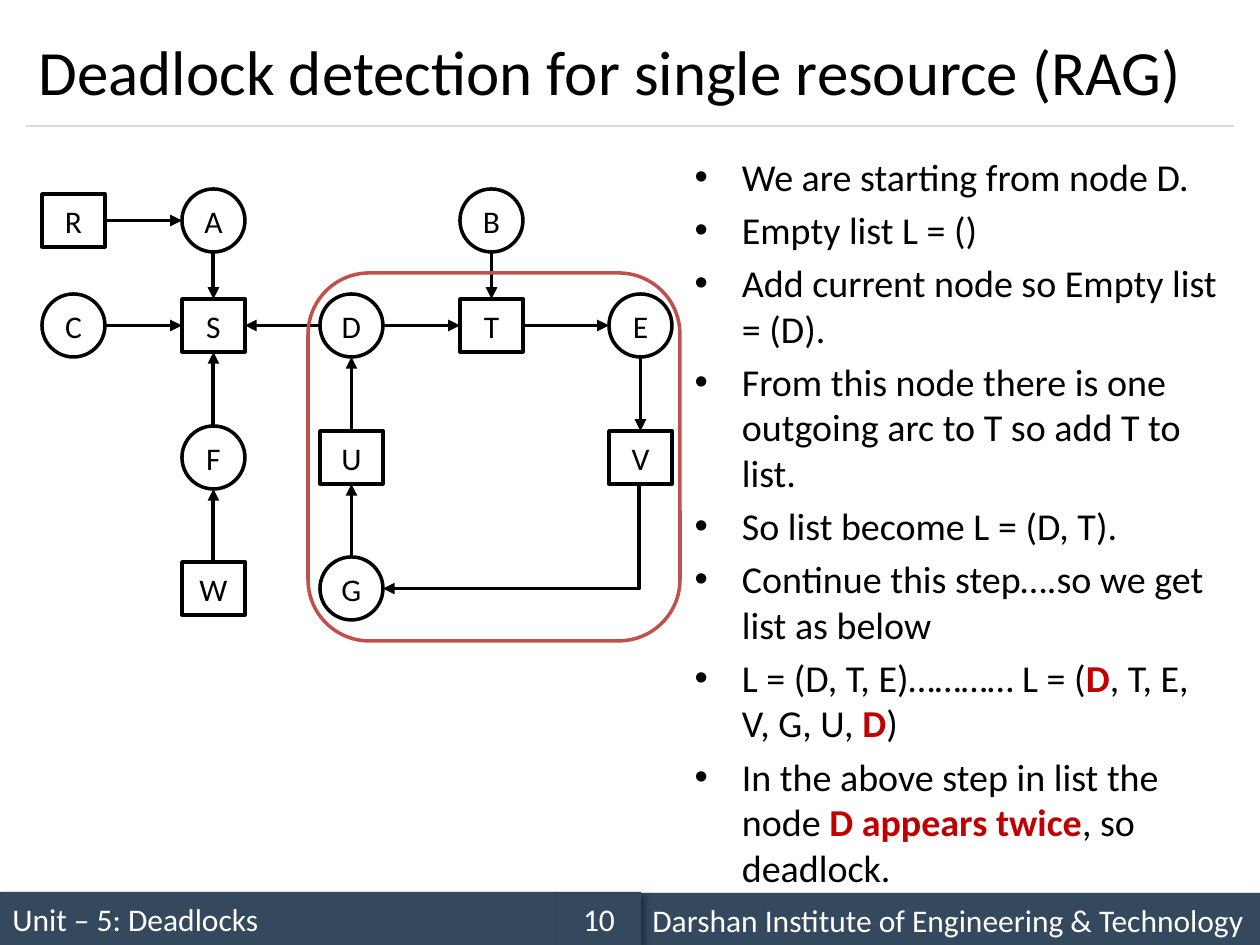
from lxml import etree
from pptx import Presentation
from pptx import util as u
from pptx.dml.color import RGBColor
from pptx.enum import shapes, text
from pptx.oxml.ns import qn

SCALE = 914400 / 126
COLORS = {"ink": "000000", "paper": "FFFFFF", "bar": "34495E",
          "rule": "D9D9D9", "red": "C00000", "loop": "C0504D"}
COLUMNS = (74, 214, 352, 492, 641)
ROWS = (220, 325, 457, 588)
GRID = ("RA.B.", "CSDTE", ".FU.V", ".WG..")
RESOURCES = "RSTUVW"
EDGES = "RA CS DT TE DS BT EV AS UD FS GU WF".split()
TOP, LEFT, BOTTOM, RIGHT = range(4)
SITES = {TOP: (0.5, 0), LEFT: (0, 0.5), BOTTOM: (0.5, 1), RIGHT: (1, 0.5)}
STEPS = (
    "We are starting from node D.",
    "Empty list L = ()",
    "Add current node so Empty list = (D).",
    "From this node there is one outgoing arc to T so add T to list.",
    "So list become L = (D, T).",
    "Continue this step….so we get list as below",
    "L = (D, T, E)………… L = (*D*, T, E, V, G, U, *D*)",
    "In the above step in list the node *D appears twice*, so deadlock.",
)
FOOTERS = (
    ((0, 892, 557, 53), "Unit – 5: Deadlocks", text.PP_ALIGN.LEFT),
    ((640, 893, 620, 53), "Darshan Institute of Engineering & Technology", text.PP_ALIGN.LEFT),
    ((557, 892, 84, 53), "10", text.PP_ALIGN.CENTER),
)


def px(n):
    """Turn pixels into EMU."""
    return u.Emu(round(n * SCALE))


def rgb(name):
    """Look up a named colour."""
    return RGBColor.from_string(COLORS[name])


def apply(obj, **fmt):
    """Set every given attribute on an object."""
    for key, value in fmt.items():
        setattr(obj, key, value)


def place(sp, left, top, width, height):
    """Move and size a shape in pixels."""
    apply(sp, left=px(left), top=px(top), width=px(width), height=px(height))


def write(p, content, size, color="ink"):
    """Add runs to a paragraph, with starred parts bold and red."""
    for i, part in enumerate(content.split("*")):
        r = p.add_run()
        r.text = part
        apply(r.font, name="Calibri", size=u.Pt(size), bold=bool(i % 2))
        r.font.color.rgb = rgb("red" if i % 2 else color)


def stroke(line, color, width):
    """Format a line or an outline."""
    line.color.rgb = rgb(color)
    line.width = u.Pt(width)


def add_box(s, kind, box, fill=None):
    """Add a preset shape without shadow or outline."""
    sp = s.shapes.add_shape(kind, *map(px, box))
    sp.shadow.inherit = False
    sp.line.fill.background()
    if fill:
        sp.fill.solid()
        sp.fill.fore_color.rgb = rgb(fill)
    else:
        sp.fill.background()
    return sp


def add_footer(s, box, content, align):
    """Add one bar of the footer with its soft shadow."""
    sp = add_box(s, shapes.MSO_SHAPE.RECTANGLE, box, "bar")
    effects = sp._element.spPr.find(qn("a:effectLst"))
    shadow = etree.SubElement(effects, qn("a:outerShdw"), blurRad="50800",
                              dist="38100", dir="2700000", algn="tl", rotWithShape="0")
    color = etree.SubElement(shadow, qn("a:srgbClr"), val=COLORS["ink"])
    etree.SubElement(color, qn("a:alpha"), val="40000")
    apply(sp.text_frame, word_wrap=True, vertical_anchor=text.MSO_ANCHOR.MIDDLE)
    p = sp.text_frame.paragraphs[0]
    p.alignment = align
    write(p, content, 18, "paper")


def add_node(s, name, cx, cy):
    """Add a resource rectangle or a process circle."""
    resource = name in RESOURCES
    kind = shapes.MSO_SHAPE.RECTANGLE if resource else shapes.MSO_SHAPE.OVAL
    height = 53 if resource else 63
    sp = add_box(s, kind, (cx - 32, cy - height // 2, 63, height), "paper")
    stroke(sp.line, "ink", 2)
    tf = sp.text_frame
    apply(tf, margin_left=0, margin_right=0, margin_top=0, margin_bottom=0,
          word_wrap=False, vertical_anchor=text.MSO_ANCHOR.MIDDLE)
    p = tf.paragraphs[0]
    p.alignment = text.PP_ALIGN.CENTER
    write(p, name, 18)
    return sp


def site(sp, side):
    """Give the middle of one side of a shape."""
    fx, fy = SITES[side]
    return round(sp.left + fx * sp.width), round(sp.top + fy * sp.height)


def facing(a, b):
    """Give the side of a that looks towards b."""
    dx, dy = b.left - a.left, b.top - a.top
    if abs(dx) > abs(dy):
        return RIGHT if dx > 0 else LEFT
    return BOTTOM if dy > 0 else TOP


def add_line(s, kind, start, end, color, width):
    """Add a connector without shadow."""
    c = s.shapes.add_connector(kind, *start, *end)
    stroke(c.line, color, width)
    etree.SubElement(c._element.spPr, qn("a:effectLst"))
    return c


def add_arrow(s, kind, start, end):
    """Add a connector with a triangle at its end."""
    c = add_line(s, kind, start, end, "ink", 2.25)
    etree.SubElement(c.line._get_or_add_ln(), qn("a:tailEnd"), type="triangle")
    return c


def add_edge(s, a, b):
    """Join two nodes with a straight arrow."""
    sides = facing(a, b), facing(b, a)
    c = add_arrow(s, shapes.MSO_CONNECTOR.STRAIGHT, site(a, sides[0]), site(b, sides[1]))
    joins = (c.begin_connect, c.end_connect)
    for sp, side, join in zip((a, b), sides, joins):
        if sp.auto_shape_type == shapes.MSO_SHAPE.RECTANGLE:
            join(sp, side)


def add_bent_edge(s, a, b):
    """Join the bottom of a to the right of b with a bent arrow."""
    c = add_arrow(s, shapes.MSO_CONNECTOR.ELBOW, site(a, BOTTOM), site(b, RIGHT))
    guides = c._element.spPr.find(qn("a:prstGeom")).get_or_add_avLst()
    etree.SubElement(guides, qn("a:gd"), name="adj1", fmla="val 600")


def fill_title(sp):
    """Place and write the title."""
    place(sp, 26, 15, 1207, 111)
    apply(sp.text_frame, vertical_anchor=text.MSO_ANCHOR.MIDDLE,
          auto_size=text.MSO_AUTO_SIZE.NONE)
    p = sp.text_frame.paragraphs[0]
    p.alignment = text.PP_ALIGN.LEFT
    write(p, "Deadlock detection for single resource (RAG)", 36)


def fill_steps(sp):
    """Place and write the bulleted steps."""
    place(sp, 682, 147, 553, 697)
    tf = sp.text_frame
    tf.auto_size = text.MSO_AUTO_SIZE.NONE
    for i, step in enumerate(STEPS):
        p = tf.add_paragraph() if i else tf.paragraphs[0]
        p.space_before = u.Pt(4.3 if i else 0)
        write(p, step, 21.7)


def main():
    """Build and save the slide."""
    prs = Presentation()
    apply(prs, slide_width=px(1260), slide_height=px(945))
    s = prs.slides.add_slide(prs.slide_layouts[1])
    for footer in FOOTERS:
        add_footer(s, *footer)
    add_line(s, shapes.MSO_CONNECTOR.STRAIGHT, (px(26), px(126)), (px(1234), px(126)), "rule", 0.75)
    fill_title(s.shapes.title)
    fill_steps(s.placeholders[1])
    nodes = {name: add_node(s, name, cx, cy)
             for names, cy in zip(GRID, ROWS)
             for name, cx in zip(names, COLUMNS) if name != "."}
    for start, end in EDGES:
        add_edge(s, nodes[start], nodes[end])
    add_bent_edge(s, nodes["V"], nodes["G"])
    loop = add_box(s, shapes.MSO_SHAPE.ROUNDED_RECTANGLE, (308, 273, 372, 368))
    stroke(loop.line, "loop", 2)
    prs.save("out.pptx")


if __name__ == "__main__":
    main()
